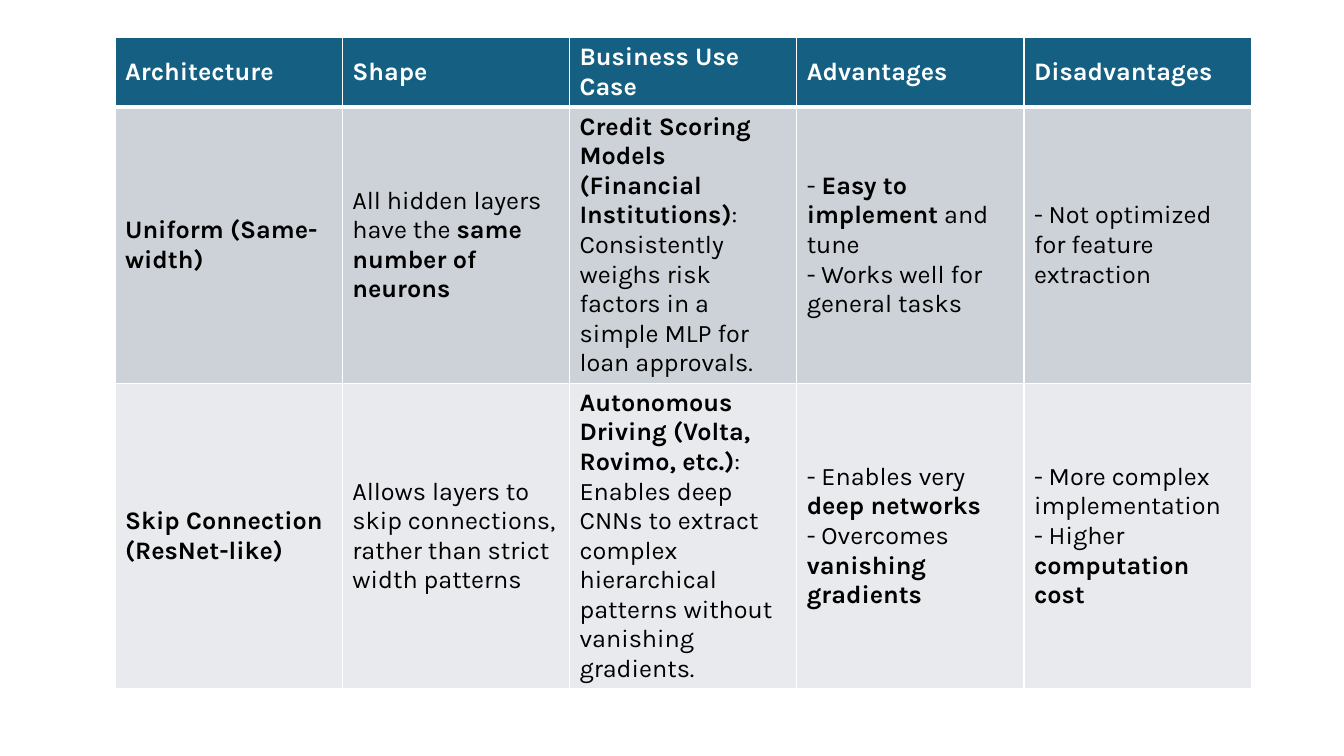
import pptx
import pptx.dml.color
import pptx.enum.text
import pptx.oxml
import pptx.oxml.ns
import pptx.util

Cm = pptx.util.Cm
COLOURS = {
    "header": "156082",
    "uniform": "CCD2D8",
    "skip": "E8EAED",
    "header text": "FFFFFF",
    "body text": "000000",
    "border": "FFFFFF",
}
HEADER_BORDERS = {"lnL": 1, "lnR": 1, "lnT": 1, "lnB": 3}
# Bold passages stand between double asterisks.
ROWS = [
    ("header", 1.73, [
        "**Architecture**",
        "**Shape**",
        "**Business Use Case**",
        "**Advantages**",
        "**Disadvantages**",
    ]),
    ("uniform", 6.93, [
        "**Uniform (Same-width)**",
        "All hidden layers have the **same number of neurons**",
        "**Credit Scoring Models (Financial Institutions)**: Consistently "
        "weighs risk factors in a simple MLP for loan approvals.",
        "- **Easy to implement** and tune\n- Works well for general tasks",
        "- Not optimized for feature extraction",
    ]),
    ("skip", 7.7, [
        "**Skip Connection (ResNet-like)**",
        "Allows layers to skip connections, rather than strict width patterns",
        "**Autonomous Driving (Volta, Rovimo, etc.)**: Enables deep CNNs to "
        "extract complex hierarchical patterns without vanishing gradients.",
        "- Enables very **deep networks**\n- Overcomes **vanishing gradients**",
        "- More complex implementation\n- Higher **computation cost**",
    ]),
]


def rgb(name):
    return pptx.dml.color.RGBColor.from_string(COLOURS[name])


def add_marked_text(para, text):
    """Add runs to the paragraph, bold between ** and broken at newlines."""
    for part, passage in enumerate(text.split("**")):
        for line, words in enumerate(passage.split("\n")):
            if line:
                para.add_line_break()
            if words:
                span = para.add_run()
                span.text = words
                span.font.bold = part % 2 == 1


deck = pptx.Presentation()
deck.slide_width = Cm(33.87)
deck.slide_height = Cm(19.05)
page = deck.slides.add_slide(deck.slide_layouts[6])

table = page.shapes.add_table(
    len(ROWS), 5, Cm(2.9), Cm(0.95), Cm(28.63), Cm(16.36)).table

for row, (kind, height, texts) in enumerate(ROWS):
    table.rows[row].height = Cm(height)
    for column, text in enumerate(texts):
        cell = table.cell(row, column)
        cell.vertical_anchor = pptx.enum.text.MSO_ANCHOR.MIDDLE
        cell.fill.solid()
        cell.fill.fore_color.rgb = rgb(kind)
        if kind == "header":
            properties = cell._tc.get_or_add_tcPr()
            for place, (side, width) in enumerate(HEADER_BORDERS.items()):
                properties.insert(place, pptx.oxml.parse_xml(
                    f'<a:{side} {pptx.oxml.ns.nsdecls("a")} '
                    f'w="{pptx.util.Pt(width)}"><a:solidFill>'
                    f'<a:srgbClr val="{COLOURS["border"]}"/>'
                    f'</a:solidFill></a:{side}>'))
        para = cell.text_frame.paragraphs[0]
        add_marked_text(para, text)
        para.font.name = "Karla"
        para.font.size = pptx.util.Pt(18)
        para.font.color.rgb = rgb(
            "header text" if kind == "header" else "body text")

deck.save("out.pptx")
